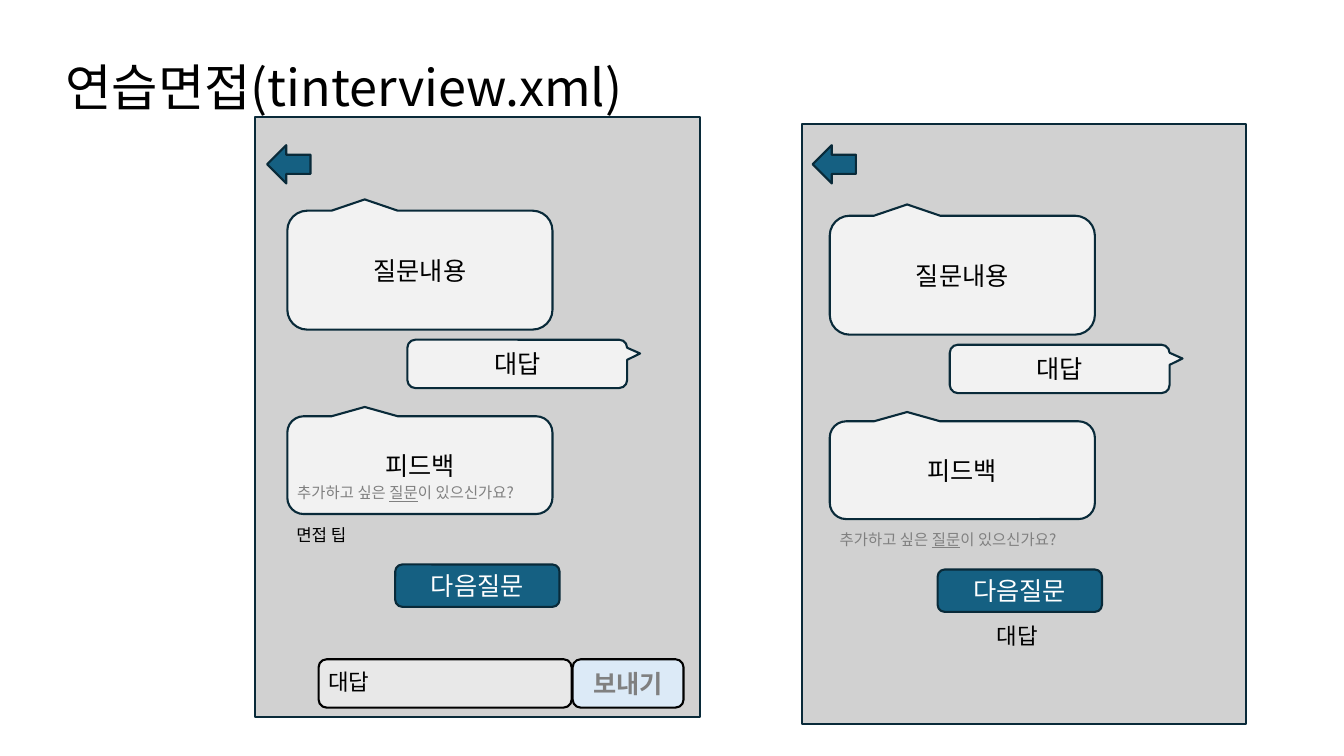
from lxml import etree
from pptx import Presentation
from pptx.dml.color import RGBColor
from pptx.enum.shapes import MSO_SHAPE
from pptx.enum.text import MSO_ANCHOR, PP_ALIGN
from pptx.oxml.ns import qn
from pptx.util import Inches, Pt

RECT = MSO_SHAPE.RECTANGLE
ROUND = MSO_SHAPE.ROUNDED_RECTANGLE
ARROW = MSO_SHAPE.LEFT_ARROW
CALLOUT = MSO_SHAPE.ROUNDED_RECTANGULAR_CALLOUT
MIDDLE = MSO_ANCHOR.MIDDLE
CENTER = PP_ALIGN.CENTER
LEFT = PP_ALIGN.LEFT

FONT = "Noto Sans CJK KR"
BLACK, WHITE, GRAY = "000000", "FFFFFF", "808080"
NAVY, TEAL, PANEL, BUBBLE = "092A39", "156082", "D1D1D1", "F2F2F2"
TAIL_UP = (-0.208, -0.595, 0.167)
TAIL_RIGHT = (0.559, -0.215, 0.167)


def rgb(color):
    return RGBColor.from_string(color)


def add_runs(s, texts, size, color, align, bold=False, spacing=None):
    tf = s.text_frame
    tf.word_wrap = True
    tf.vertical_anchor = MIDDLE
    p = tf.paragraphs[0]
    p.alignment = align
    if spacing:
        p.line_spacing = spacing
    for text, underline in texts:
        r = p.add_run()
        r.text = text
        r.font.size = Pt(size)
        r.font.bold = bold
        r.font.underline = underline
        r.font.color.rgb = rgb(color)
        r.font.name = FONT
        ea = etree.SubElement(r.font._element, qn("a:ea"))
        ea.set("typeface", FONT)


def add_box(slide, kind, x, y, w, h, fill, line=NAVY, adjustments=(),
            text=None, color=BLACK, bold=False):
    s = slide.shapes.add_shape(kind, Inches(x), Inches(y), Inches(w), Inches(h))
    s.shadow.inherit = False
    s.fill.solid()
    s.fill.fore_color.rgb = rgb(fill)
    s.line.color.rgb = rgb(line)
    s.line.width = Pt(1.5)
    for i, value in enumerate(adjustments):
        s.adjustments[i] = value
    if text:
        add_runs(s, [(text, False)], 18, color, CENTER, bold)


def add_label(slide, x, y, w, h, texts, size, color=BLACK):
    s = slide.shapes.add_textbox(Inches(x), Inches(y), Inches(w), Inches(h))
    add_runs(s, texts, size, color, LEFT, spacing=0.9)


def add_screen(slide, x, y, arrow_dx, arrow_dy):
    add_box(slide, RECT, x, y, 4.41, 5.95, PANEL)
    add_box(slide, ARROW, x + arrow_dx, y + arrow_dy, 0.43, 0.38, TEAL)


def add_chat(slide, x, y, hint_dy):
    add_box(slide, CALLOUT, x, y, 2.63, 1.18, BUBBLE,
            adjustments=TAIL_UP, text="질문내용")
    add_box(slide, CALLOUT, x + 1.19, y + 1.28, 2.18, 0.48, BUBBLE,
            adjustments=TAIL_RIGHT, text="대답")
    add_box(slide, CALLOUT, x, y + 2.04, 2.63, 0.97, BUBBLE,
            adjustments=TAIL_UP, text="피드백")
    hint = [("추가하고 싶은 ", False), ("질문", True), ("이 있으신가요?", False)]
    add_label(slide, x, y + hint_dy, 2.63, 0.42, hint, 11, GRAY)
    add_box(slide, ROUND, x + 1.07, y + 3.51, 1.63, 0.42, TEAL,
            text="다음질문", color=WHITE)


def add_answer_bar(slide, x, y):
    add_box(slide, ROUND, x, y, 2.51, 0.48, "E8E8E8", BLACK)
    add_box(slide, ROUND, x + 2.52, y, 1.1, 0.48, "DCEAF7", BLACK,
            text="보내기", color=GRAY, bold=True)
    add_label(slide, x, y, 1.1, 0.48, [("대답", False)], 16)


def main():
    prs = Presentation()
    prs.slide_width = Inches(13.33)
    prs.slide_height = Inches(7.5)
    slide = prs.slides.add_slide(prs.slide_layouts[6])

    add_label(slide, 0.55, 0.17, 11.5, 1.45,
              [("연습면접(tinterview.xml)", False)], 36)

    add_screen(slide, 2.53, 1.16, 0.12, 0.28)
    add_chat(slide, 2.85, 2.09, 2.6)
    add_label(slide, 2.84, 5.1, 3.22, 0.44, [("면접 팁", False)], 12)
    add_answer_bar(slide, 3.16, 6.54)

    add_screen(slide, 7.95, 1.23, 0.11, 0.21)
    add_chat(slide, 8.23, 2.14, 3.01)
    add_label(slide, 9.79, 6.08, 1.1, 0.48, [("대답", False)], 16)

    prs.save("out.pptx")


if __name__ == "__main__":
    main()
